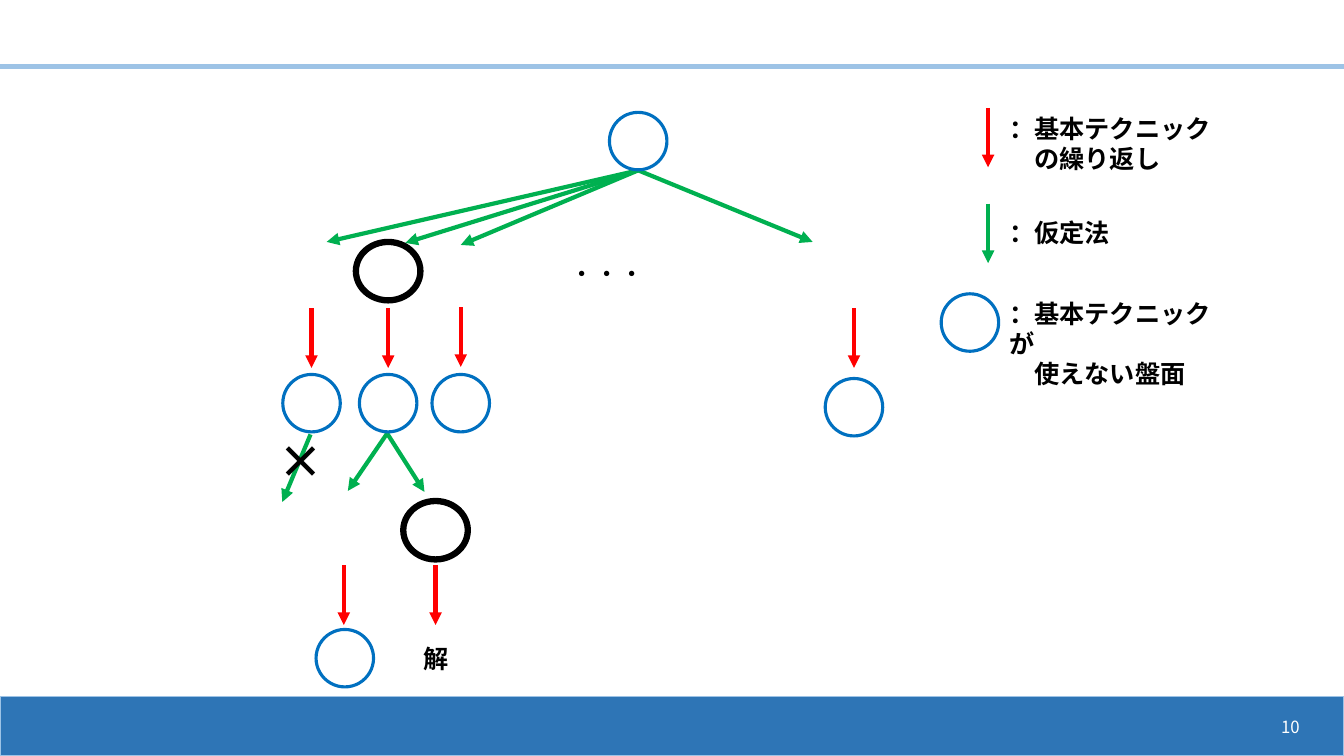
from lxml.etree import SubElement
from pptx import Presentation
from pptx.dml.color import RGBColor
from pptx.enum.shapes import MSO_CONNECTOR, MSO_SHAPE
from pptx.enum.text import MSO_ANCHOR, PP_ALIGN
from pptx.oxml.ns import qn
from pptx.util import Inches, Pt

WIDTH, HEIGHT = 13.33, 7.5
FONT = "Noto Sans CJK JP"
COLORS = {"technique": "FF0000", "assumption": "00B050", "stuck": "0070C0",
          "choice": "000000", "text": "000000", "rule": "9DC3E6",
          "footer": "2E75B6", "page": "FFFFFF"}
STEP = 0.59  # length of every vertical arrow
NODE_SIZES = {"stuck": (0.57, 0.57, 2.25), "choice": (0.64, 0.58, 4.5)}

# Search tree: node centres by kind
NODES = {
    "stuck": [(6.33, 1.4), (3.09, 4), (3.85, 4), (4.57, 4), (8.47, 4.04),
              (3.42, 6.53), (9.62, 3.2)],
    "choice": [(3.85, 2.69), (4.32, 5.26)],
}
# Assumption branches: start, ends
BRANCHES = [
    ((6.21, 1.73), [(4.02, 2.41)]),
    ((6.33, 1.69), [(3.24, 2.4), (4.57, 2.43), (8.06, 2.4)]),
    ((3.08, 4.31), [(2.8, 4.98)]),
    ((3.84, 4.3), [(3.45, 4.87), (4.21, 4.88)]),
]
# Vertical arrows, the last of each kind in the legend: centre, top
STEPS = {
    "technique": [(3.09, 3.06), (3.85, 3.06), (4.57, 3.05), (8.47, 3.06),
                  (3.41, 5.61), (4.32, 5.61), (9.8, 1.07)],
    "assumption": [(9.8, 2.02)],
}
# Labels: lines, (left, top, width, height), size, bold
LABELS = [
    (["・・・"], (5.55, 2.51, 1.97, 0.4), 18, False),
    (["×"], (2.66, 4.25, 0.59, 0.64), 32, True),
    (["解"], (4.1, 6.33, 0.43, 0.4), 18, True),
    (["：基本テクニック", "　の繰り返し"], (9.91, 1.07, 2.47, 0.71), 18, True),
    (["：仮定法"], (9.91, 2.11, 1.81, 0.4), 18, True),
    (["：基本テクニック\vが", "　使えない盤面"], (9.91, 2.91, 2.55, 0.71), 18, True),
]
PAGE = "10"


def rgb(role):
    return RGBColor.from_string(COLORS[role])


def add_line(slide, start, end, role, arrow=True):
    line = slide.shapes.add_connector(
        MSO_CONNECTOR.STRAIGHT, *map(Inches, (*start, *end)))
    line.line.color.rgb = rgb(role)
    line.line.width = Pt(3)
    if arrow:
        SubElement(line.line._get_or_add_ln(), qn("a:tailEnd"), type="triangle")
    SubElement(line._element.spPr, qn("a:effectLst"))


def add_outlined(slide, preset, box, role, weight, fill=None):
    shape = slide.shapes.add_shape(preset, *map(Inches, box))
    shape.shadow.inherit = False
    if fill:
        shape.fill.solid()
        shape.fill.fore_color.rgb = rgb(fill)
    else:
        shape.fill.background()
    shape.line.color.rgb = rgb(role)
    shape.line.width = Pt(weight)


def add_label(slide, lines, box, size, bold=False, role="text",
              align=PP_ALIGN.LEFT, anchor=MSO_ANCHOR.TOP):
    frame = slide.shapes.add_textbox(*map(Inches, box)).text_frame
    frame.word_wrap = True
    frame.vertical_anchor = anchor
    frame.text = "\n".join(lines)
    for paragraph in frame.paragraphs:
        paragraph.alignment = align
        font = paragraph.font
        font.size, font.bold, font.name = Pt(size), bold, FONT
        font.color.rgb = rgb(role)
        # East Asian characters need their own typeface entry
        defaults = paragraph._p.pPr.find(qn("a:defRPr"))
        SubElement(defaults, qn("a:ea"), typeface=FONT)


def main():
    deck = Presentation()
    deck.slide_width, deck.slide_height = Inches(WIDTH), Inches(HEIGHT)
    slide = deck.slides.add_slide(deck.slide_layouts[6])

    # Header rule, footer band and page number
    add_line(slide, (0, 0.66), (WIDTH, 0.66), "rule", arrow=False)
    add_outlined(slide, MSO_SHAPE.RECTANGLE, (0, 6.91, WIDTH, HEIGHT - 6.91),
                 "rule", 1, fill="footer")
    add_label(slide, [PAGE], (9.99, 7.01, 3, 0.4), 12, role="page",
              align=PP_ALIGN.RIGHT, anchor=MSO_ANCHOR.MIDDLE)

    # Arrows
    for start, ends in BRANCHES:
        for end in ends:
            add_line(slide, start, end, "assumption")
    for role, tops in STEPS.items():
        for x, y in tops:
            add_line(slide, (x, y), (x, y + STEP), role)

    # Tree and legend labels
    for label in LABELS:
        add_label(slide, *label)

    # Nodes
    for role, centres in NODES.items():
        width, height, weight = NODE_SIZES[role]
        for x, y in centres:
            box = (x - width / 2, y - height / 2, width, height)
            add_outlined(slide, MSO_SHAPE.OVAL, box, role, weight)

    deck.save("out.pptx")


if __name__ == "__main__":
    main()
